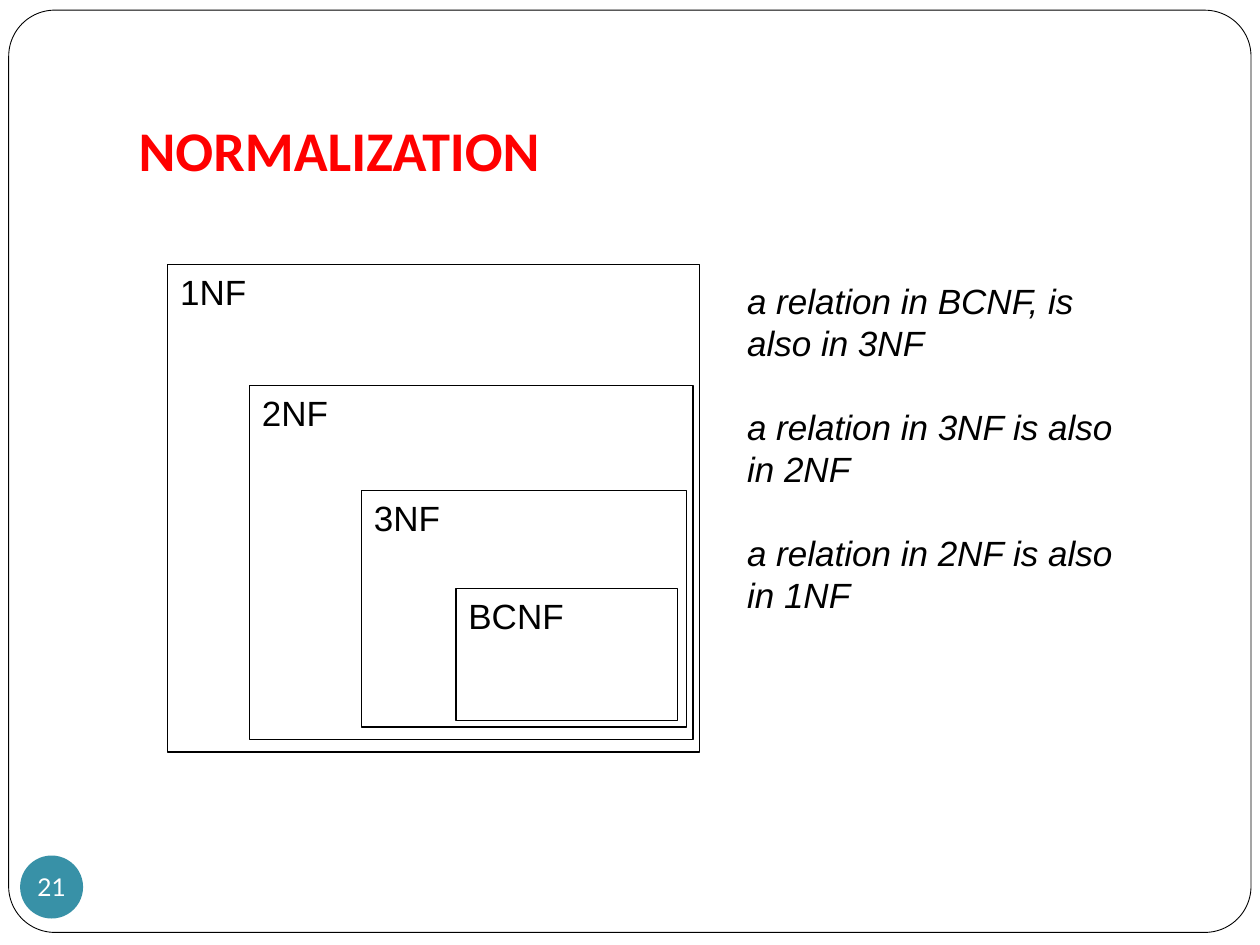
from dataclasses import dataclass

from pptx import Presentation
from pptx.dml.color import RGBColor
from pptx.enum.shapes import MSO_SHAPE as Shape
from pptx.enum.text import MSO_ANCHOR as Anchor, MSO_AUTO_SIZE as AutoSize, PP_ALIGN as Align
from pptx.util import Pt


@dataclass(frozen=True)
class Theme:
    paper: RGBColor = RGBColor(0xFF, 0xFF, 0xFF)
    ink: RGBColor = RGBColor(0x00, 0x00, 0x00)
    heading: RGBColor = RGBColor(0xFF, 0x00, 0x00)
    badge: RGBColor = RGBColor(0x38, 0x91, 0xA7)
    heading_font: str = "Calibri"
    body_font: str = "Arial"
    badge_font: str = "Lato"
    heading_size: int = 32
    body_size: int = 20
    badge_size: int = 14
    line_height: int = 24


THEME = Theme()

# Left, top, width and height in points, innermost form first
NORMAL_FORMS = [
    ("BCNF", (260.6, 336.2, 126.7, 75.6)),
    ("3NF", (206.6, 280.1, 185.8, 135.4)),
    ("2NF", (142.6, 220.3, 253.4, 202.3)),
    ("1NF", (95.8, 151.2, 303.8, 278.6)),
]
IMPLICATIONS = [
    "a relation in BCNF, is also in 3NF",
    "a relation in 3NF is also in 2NF",
    "a relation in 2NF is also in 1NF",
]


def points(box):
    return [Pt(length) for length in box]


def place(shape, box):
    shape.left, shape.top, shape.width, shape.height = points(box)


def set_insets(frame, left, top, right, bottom):
    frame.margin_left, frame.margin_top = Pt(left), Pt(top)
    frame.margin_right, frame.margin_bottom = Pt(right), Pt(bottom)


def style(paragraph, font, size, color, bold=False, italic=False, align=Align.LEFT):
    paragraph.alignment = align
    for run in paragraph.runs:
        run.font.name, run.font.size = font, Pt(size)
        run.font.color.rgb = color
        run.font.bold, run.font.italic = bold, italic


def add_outline(slide, kind, box, line_width=None, fill=None):
    """Add a preset shape; without a line width or fill it has none."""
    shape = slide.shapes.add_shape(kind, *points(box))
    shape.shadow.inherit = False
    if fill is None:
        shape.fill.background()
    else:
        shape.fill.solid()
        shape.fill.fore_color.rgb = fill
    if line_width is None:
        shape.line.fill.background()
    else:
        shape.line.color.rgb = THEME.ink
        shape.line.width = Pt(line_width)
    return shape


def add_title(slide, wording):
    title = slide.shapes.title
    place(title, (72, 21.6, 612, 90))
    frame = title.text_frame
    frame.text = wording
    frame.vertical_anchor = Anchor.BOTTOM
    frame.auto_size = AutoSize.NONE
    set_insets(frame, 7.2, 3.6, 7.2, 7.2)
    style(frame.paragraphs[0], THEME.heading_font, THEME.heading_size,
          THEME.heading, bold=True)


def add_border(slide):
    """Add the page border behind the title."""
    border = add_outline(slide, Shape.ROUNDED_RECTANGLE, (5, 5.8, 709.9, 527), 0.5, THEME.paper)
    border.adjustments[0] = 0.05
    slide.shapes.title.element.addprevious(border.element)


def add_page_badge(slide, number):
    badge = add_outline(slide, Shape.OVAL, (11.5, 488.9, 36, 36), fill=THEME.badge)
    frame = badge.text_frame
    frame.text = str(number)
    frame.word_wrap = False
    frame.vertical_anchor = Anchor.MIDDLE
    set_insets(frame, 0, 0, 0, 0)
    style(frame.paragraphs[0], THEME.badge_font, THEME.badge_size,
          THEME.paper, align=Align.CENTER)


def add_normal_form(slide, label, box):
    frame = add_outline(slide, Shape.RECTANGLE, box, 0.75).text_frame
    frame.text = label
    frame.vertical_anchor = Anchor.TOP
    style(frame.paragraphs[0], THEME.body_font, THEME.body_size, THEME.ink)


def add_implications(slide, statements):
    frame = slide.shapes.add_textbox(*points((419.8, 156.2, 234, 262.8))).text_frame
    frame.word_wrap = True
    frame.text = "\n".join(statements)
    for paragraph in frame.paragraphs:
        paragraph.line_spacing = paragraph.space_after = Pt(THEME.line_height)
        style(paragraph, THEME.body_font, THEME.body_size, THEME.ink, italic=True)


def main():
    deck = Presentation()
    deck.slide_width, deck.slide_height = Pt(720), Pt(540)
    title_only = deck.slide_layouts[5]
    slide = deck.slides.add_slide(title_only)
    add_border(slide)
    add_title(slide, "NORMALIZATION")
    add_page_badge(slide, 21)
    for label, box in NORMAL_FORMS:
        add_normal_form(slide, label, box)
    add_implications(slide, IMPLICATIONS)
    deck.save("out.pptx")


if __name__ == "__main__":
    main()
